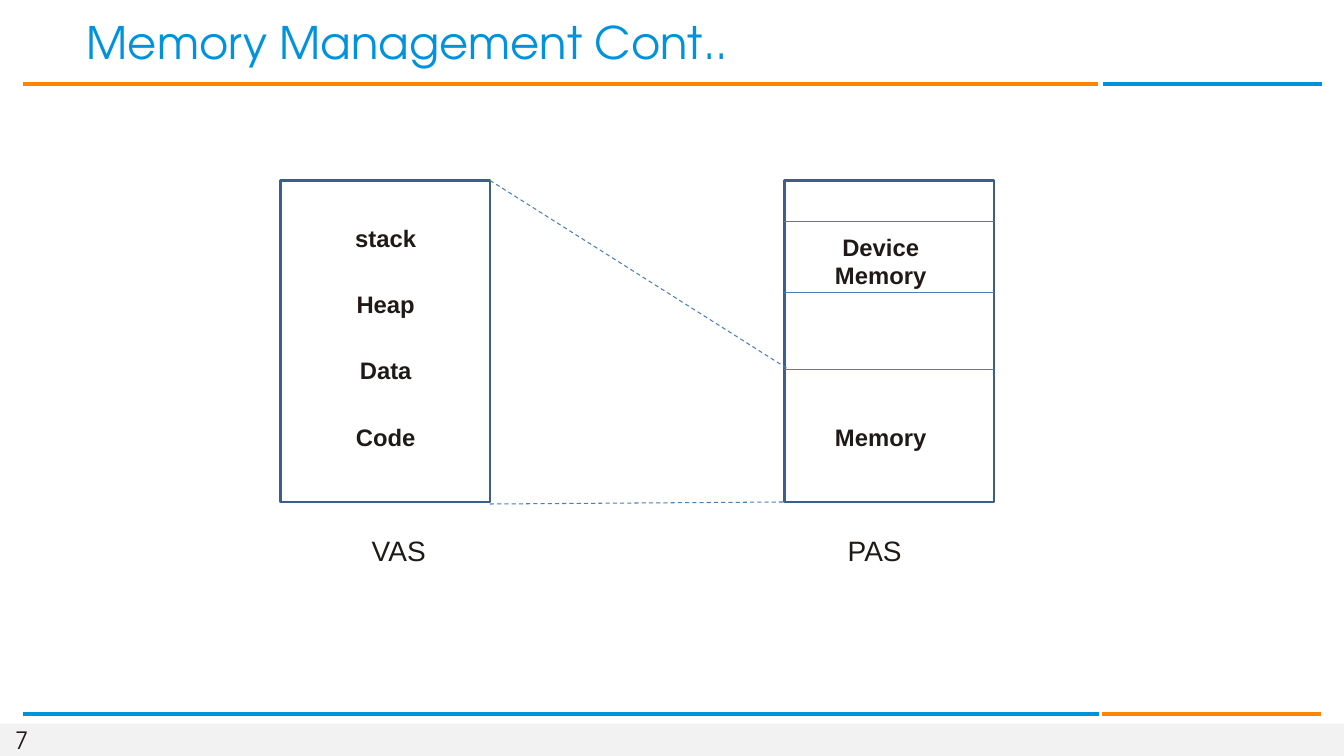
from pptx import Presentation
from pptx.dml.color import RGBColor
from pptx.enum.dml import MSO_LINE
from pptx.enum.shapes import MSO_CONNECTOR, MSO_SHAPE
from pptx.enum.text import MSO_ANCHOR, PP_ALIGN
from pptx.oxml.ns import qn
from pptx.util import Inches, Pt
from lxml import etree

ORANGE, BLUE, INK = "FF8500", "0093DD", "1F1A17"
OUTLINE, THIN = "3A5F8C", "4B7EBC"
HEADING = "TeX Gyre Adventor"


def add_text(text, box, size, name="Arial", color=INK, bold=False,
             align=PP_ALIGN.CENTER, insets=(0.12, 0.06, 0.12, 0.06), wrap=True):
    shape = slide.shapes.add_textbox(*map(Inches, box))
    frame = shape.text_frame
    margins = zip(("left", "top", "right", "bottom"), insets)
    settings = {f"margin_{side}": Inches(inset) for side, inset in margins}
    settings |= {"word_wrap": wrap, "vertical_anchor": MSO_ANCHOR.MIDDLE}
    for key, value in settings.items():
        setattr(frame, key, value)
    paragraph = frame.paragraphs[0]
    paragraph.alignment = align
    run = paragraph.add_run()
    run.text = text
    for key, value in {"name": name, "size": Pt(size), "bold": bold}.items():
        setattr(run.font, key, value)
    run.font.color.rgb = RGBColor.from_string(color)


def add_line(x1, y1, x2, y2, color=THIN, width=0.75, dash=None):
    connector = slide.shapes.add_connector(
        MSO_CONNECTOR.STRAIGHT, *map(Inches, (x1, y1, x2, y2)))
    connector.line.color.rgb = RGBColor.from_string(color)
    connector.line.width = Pt(width)
    if dash:
        connector.line.dash_style = dash
    etree.SubElement(connector._element.spPr, qn("a:effectLst"))


presentation = Presentation()
presentation.slide_width, presentation.slide_height = Inches(13.33), Inches(7.5)
slide = presentation.slides.add_slide(presentation.slide_layouts[6])

# Footer band and the two address spaces
box_top, box_width, box_height = 1.79, 2.08, 3.19
vas_left, pas_left = 2.78, 7.78
rectangles = [
    (0, 7.18, 13.33, 0.32, "F2F2F2", None),
    (vas_left, box_top, box_width, box_height, "FFFFFF", OUTLINE),
    (pas_left, box_top, box_width, box_height, "FFFFFF", OUTLINE),
]
for *box, fill, outline in rectangles:
    shape = slide.shapes.add_shape(MSO_SHAPE.RECTANGLE, *map(Inches, box))
    shape.shadow.inherit = False
    shape.fill.solid()
    shape.fill.fore_color.rgb = RGBColor.from_string(fill)
    if outline:
        shape.line.color.rgb = RGBColor.from_string(outline)
        shape.line.width = Pt(2)
    else:
        shape.line.fill.background()

# Rules under the title and above the footer
for x1, x2, y, color in [(0.23, 10.89, 0.83, ORANGE), (10.94, 13.11, 0.83, BLUE),
                         (0.23, 10.9, 7.08, BLUE), (10.93, 13.1, 7.08, ORANGE)]:
    add_line(x1, y, x2, y, color, 3)

# Title and page number
add_text("Memory Management Cont..", (0.73, 0.14, 12.61, 0.54), 32, HEADING, BLUE,
         align=PP_ALIGN.LEFT, insets=(0.13, 0.06, 0.07, 0.06))
add_text("7", (0.15, 7.2, 0.29, 0.29), 17, HEADING,
         align=PP_ALIGN.LEFT, insets=(0, 0, 0, 0), wrap=False)

# Captions below the boxes
for caption, left in [("VAS", 2.36), ("PAS", 7.08)]:
    add_text(caption, (left, 5.23, 3.19, 0.46), 20)

# Virtual address space segments
for index, segment in enumerate(["stack", "Heap", "Data", "Code"]):
    add_text(segment, (2.92, 2.16 + index * 0.655, 1.81, 0.41), 17, bold=True)

# Physical address space regions
for y in (2.2, 2.9, 3.67):
    add_line(pas_left, y, pas_left + box_width, y)
for region, top, height in [("Device Memory", 2.24, 0.7), ("Memory", 4.13, 0.41)]:
    add_text(region, (7.83, top, 1.81, height), 17, bold=True)

# Dashed mapping from virtual to physical memory
vas_right = vas_left + box_width
add_line(vas_right, box_top, 7.83, 3.67, dash=MSO_LINE.DASH)
add_line(vas_right, 5, pas_left, box_top + box_height, dash=MSO_LINE.DASH)

presentation.save("out.pptx")
